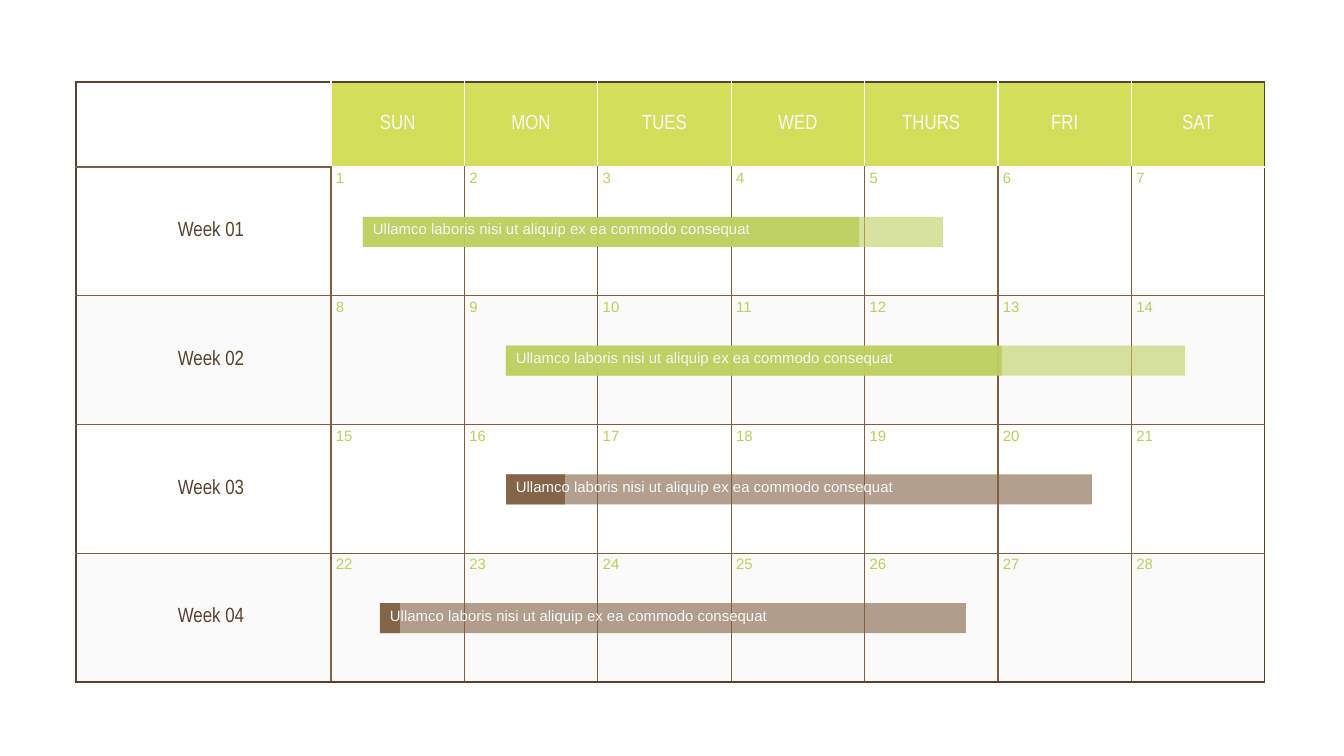
from lxml.etree import SubElement
from pptx import Presentation
from pptx.dml.color import RGBColor
from pptx.enum.shapes import MSO_SHAPE
from pptx.enum.text import MSO_ANCHOR, PP_ALIGN
from pptx.oxml.ns import qn
from pptx.util import Emu, Pt

EMU_PER_PX = 914400 / 134.4
DARK, BROWN, GREEN, LIME, PALE = "58412D", "7F5F42", "BDCF5E", "D3DE5A", "F7F7F7"
DAYS = ["SUN", "MON", "TUES", "WED", "THURS", "FRI", "SAT"]
WEEKS = 4
LEFT, TOP = 76, 82
LABEL_WIDTH, DAYS_WIDTH = 255, 934
HEADER_HEIGHT, WEEKS_HEIGHT = 85, 515
BAR_OFFSET, BAR_HEIGHT = 50, 30
TASK = "Ullamco laboris nisi ut aliquip ex ea commodo consequat"
TASK_BARS = [
    (363, 580, 496, GREEN),
    (506, 679, 496, GREEN),
    (506, 586, 59, BROWN),
    (380, 586, 20, BROWN),
]


def px(length):
    return Emu(round(length * EMU_PER_PX))


def rgb(color):
    return RGBColor.from_string(color)


def set_fill(fill, properties, color, opacity=100):
    fill.solid()
    fill.fore_color.rgb = rgb(color)
    if opacity < 100:
        tint = properties.find(qn("a:solidFill")).find(qn("a:srgbClr"))
        SubElement(tint, qn("a:alpha"), val=str(opacity * 1000))


def set_text(para, text, size, font, color, align=PP_ALIGN.LEFT):
    para.text = text
    para.alignment = align
    para.font.size = Pt(size)
    para.font.name = font
    para.font.color.rgb = rgb(color)


def set_margins(holder, left=5):
    holder.margin_left = px(left)
    holder.margin_right = px(5)
    holder.margin_top = holder.margin_bottom = px(3)


def vertical_edge(row, edge):
    if edge in (0, len(DAYS) + 1):
        return DARK
    return PALE if row == 0 else BROWN


def horizontal_edge(edge, column):
    if edge in (0, WEEKS + 1):
        return DARK
    return PALE if edge == 1 and column > 0 else BROWN


def set_borders(properties, row, column):
    edges = {
        "a:lnL": vertical_edge(row, column),
        "a:lnR": vertical_edge(row, column + 1),
        "a:lnT": horizontal_edge(row, column),
        "a:lnB": horizontal_edge(row + 1, column),
    }
    for tag, color in edges.items():
        line = SubElement(properties, qn(tag), w=str(Pt(0.75)))
        SubElement(SubElement(line, qn("a:solidFill")), qn("a:srgbClr"), val=color)


def format_cell(cell, row, column):
    properties = cell._tc.get_or_add_tcPr()
    set_borders(properties, row, column)
    is_label = row > 0 and column == 0
    set_margins(cell, 20 if is_label else 5)
    if row == 0 and column > 0:
        set_fill(cell.fill, properties, LIME)
    elif row > 0 and row % 2 == 0:
        set_fill(cell.fill, properties, PALE, 50)
    else:
        cell.fill.background()

    para = cell.text_frame.paragraphs[0]
    if row > 0 and column > 0:
        day = (row - 1) * len(DAYS) + column
        set_text(para, str(day), 8, "Arial", GREEN)
    elif row > 0 or column > 0:
        cell.vertical_anchor = MSO_ANCHOR.MIDDLE
        text, color = (f"Week {row:02}", DARK) if is_label else (DAYS[column - 1], PALE)
        set_text(para, text, 11, "Arial Narrow", color, PP_ALIGN.CENTER)


def add_calendar(page):
    frame = page.shapes.add_table(
        WEEKS + 1, len(DAYS) + 1, px(LEFT), px(TOP),
        px(LABEL_WIDTH + DAYS_WIDTH), px(HEADER_HEIGHT + WEEKS_HEIGHT),
    )
    table = frame.table
    table.first_row = table.horz_banding = False
    for index, column in enumerate(table.columns):
        column.width = px(DAYS_WIDTH / len(DAYS) if index else LABEL_WIDTH)
    for index, row in enumerate(table.rows):
        row.height = px(WEEKS_HEIGHT / WEEKS if index else HEADER_HEIGHT)
        for column, cell in enumerate(row.cells):
            format_cell(cell, index, column)


def add_bar(group, left, top, width, color, opacity):
    bar = group.shapes.add_shape(
        MSO_SHAPE.RECTANGLE, px(left), px(top), px(width), px(BAR_HEIGHT)
    )
    bar.shadow.inherit = False
    bar.line.fill.background()
    set_fill(bar.fill, bar._element.spPr, color, opacity)


def add_task(page, week, left, width, done_width, color):
    top = TOP + HEADER_HEIGHT + BAR_OFFSET + week * WEEKS_HEIGHT / WEEKS
    group = page.shapes.add_group_shape()
    add_bar(group, left, top, width, color, 60)
    add_bar(group, left, top, done_width, color, 90)
    box = group.shapes.add_textbox(px(left + 5), px(top), px(418), px(24))
    box.text_frame.word_wrap = True
    set_margins(box.text_frame)
    set_text(box.text_frame.paragraphs[0], TASK, 8, "Arial", PALE)


def main():
    deck = Presentation()
    deck.slide_width, deck.slide_height = px(1344), px(756)
    page = deck.slides.add_slide(deck.slide_layouts[6])
    add_calendar(page)
    for week, task in enumerate(TASK_BARS):
        add_task(page, week, *task)
    deck.save("out.pptx")


if __name__ == "__main__":
    main()
